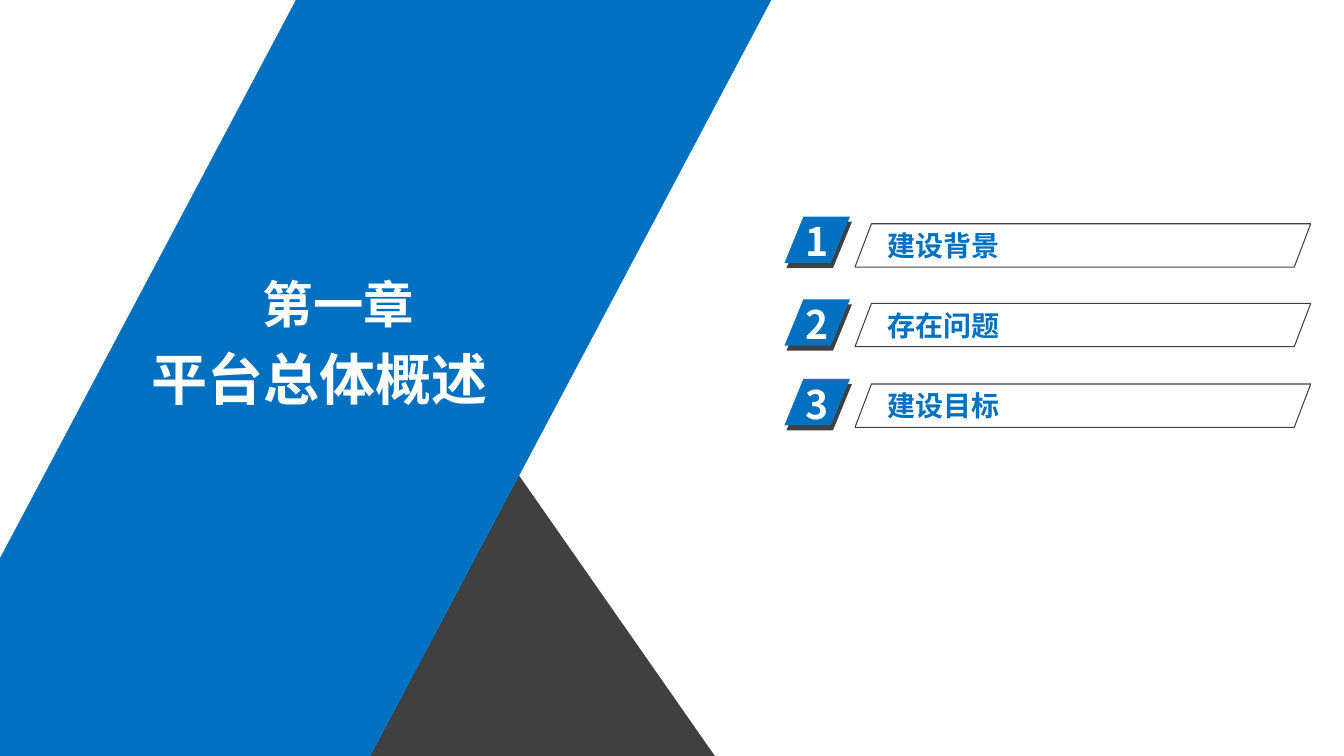
from lxml.etree import SubElement
from pptx import Presentation
from pptx.dml.color import RGBColor
from pptx.enum.shapes import MSO_SHAPE
from pptx.enum.text import MSO_ANCHOR, MSO_AUTO_SIZE, PP_ALIGN
from pptx.oxml.ns import qn
from pptx.util import Pt

PX = 9144  # EMU in one px, 100 px to the inch
BLUE = RGBColor(0x00, 0x70, 0xC0)
DARK = RGBColor(0x40, 0x40, 0x40)
WHITE = RGBColor(0xFF, 0xFF, 0xFF)
FONT = "Noto Sans CJK SC"

# number, label, top of the badge, top of the label frame
SECTIONS = [
    ("1", "建设背景", 215, 222),
    ("2", "存在问题", 297, 301),
    ("3", "建设目标", 376, 381),
]


class SlideBuilder:
    """Holds the text style and the slide being drawn."""

    text_format = {"name": FONT, "bold": True}
    frame_format = {
        "word_wrap": True,
        "auto_size": MSO_AUTO_SIZE.NONE,
        "vertical_anchor": MSO_ANCHOR.TOP,
    }

    def __init__(self, slide):
        self.slide = slide

    def paint(self, shape, fill=None, line=None):
        shape.shadow.inherit = False
        if fill is None:
            shape.fill.background()
        else:
            shape.fill.solid()
            shape.fill.fore_color.rgb = fill
        if line is None:
            shape.line.fill.background()
        else:
            shape.line.color.rgb = line
            shape.line.width = Pt(0.75)

    def parallelogram(self, box, slant, parent=None, **colors):
        shapes = (parent or self.slide).shapes
        shape = shapes.add_shape(MSO_SHAPE.PARALLELOGRAM, *(n * PX for n in box))
        shape.adjustments[0] = slant
        self.paint(shape, **colors)

    def polygon(self, points, fill):
        builder = self.slide.shapes.build_freeform(*points[0], scale=PX)
        builder.add_line_segments(points[1:], close=True)
        self.paint(builder.convert_to_shape(), fill)

    def set_text(self, shape, text, size, color):
        frame = shape.text_frame
        for name, value in self.frame_format.items():
            setattr(frame, name, value)
        paragraph = frame.paragraphs[0]
        paragraph.alignment = PP_ALIGN.LEFT
        run = paragraph.add_run()
        run.text = text
        for name, value in {**self.text_format, "size": Pt(size)}.items():
            setattr(run.font, name, value)
        run.font.color.rgb = color
        SubElement(run.font._element, qn("a:ea"), typeface=FONT)

    def text(self, box, text, size, color, parent=None):
        shapes = (parent or self.slide).shapes
        text_box = shapes.add_textbox(*(n * PX for n in box))
        self.set_text(text_box, text, size, color)

    def title(self, box, text, size, color):
        title = self.slide.shapes.title
        for name, value in zip(("left", "top", "width", "height"), box):
            setattr(title, name, value * PX)
        self.set_text(title, text, size, color)
        # Bring the title in front of the band
        self.slide.shapes._spTree.append(title._element)

    def badge(self, number, top):
        group = self.slide.shapes.add_group_shape()
        self.parallelogram((780, top + 5, 65, 46), 0.41, group, fill=DARK)
        self.parallelogram((778, top, 65, 46), 0.41, group, fill=BLUE)
        self.text((789, top - 4, 69, 57), number, 28, WHITE, group)

    def label(self, text, top):
        self.parallelogram((848, top, 452, 43), 0.38, line=DARK)
        self.text((870, top, 374, 44), text, 20, BLUE)


def main():
    presentation = Presentation()
    presentation.slide_width = 1333 * PX
    presentation.slide_height = 750 * PX
    title_only = presentation.slide_layouts[5]
    builder = SlideBuilder(presentation.slides.add_slide(title_only))

    # Background shapes
    builder.polygon([(357, 750), (508, 462), (709, 750)], DARK)
    builder.parallelogram((-104, 0, 869, 750), 0.53, fill=BLUE)

    # Chapter heading
    builder.text((251, 266, 181, 71), "第一章", 36, WHITE)
    builder.title((140, 337, 377, 77), "平台总体概述", 40, WHITE)

    # Section list
    for number, label, badge_top, label_top in SECTIONS:
        builder.badge(number, badge_top)
        builder.label(label, label_top)

    presentation.save("out.pptx")


if __name__ == "__main__":
    main()
